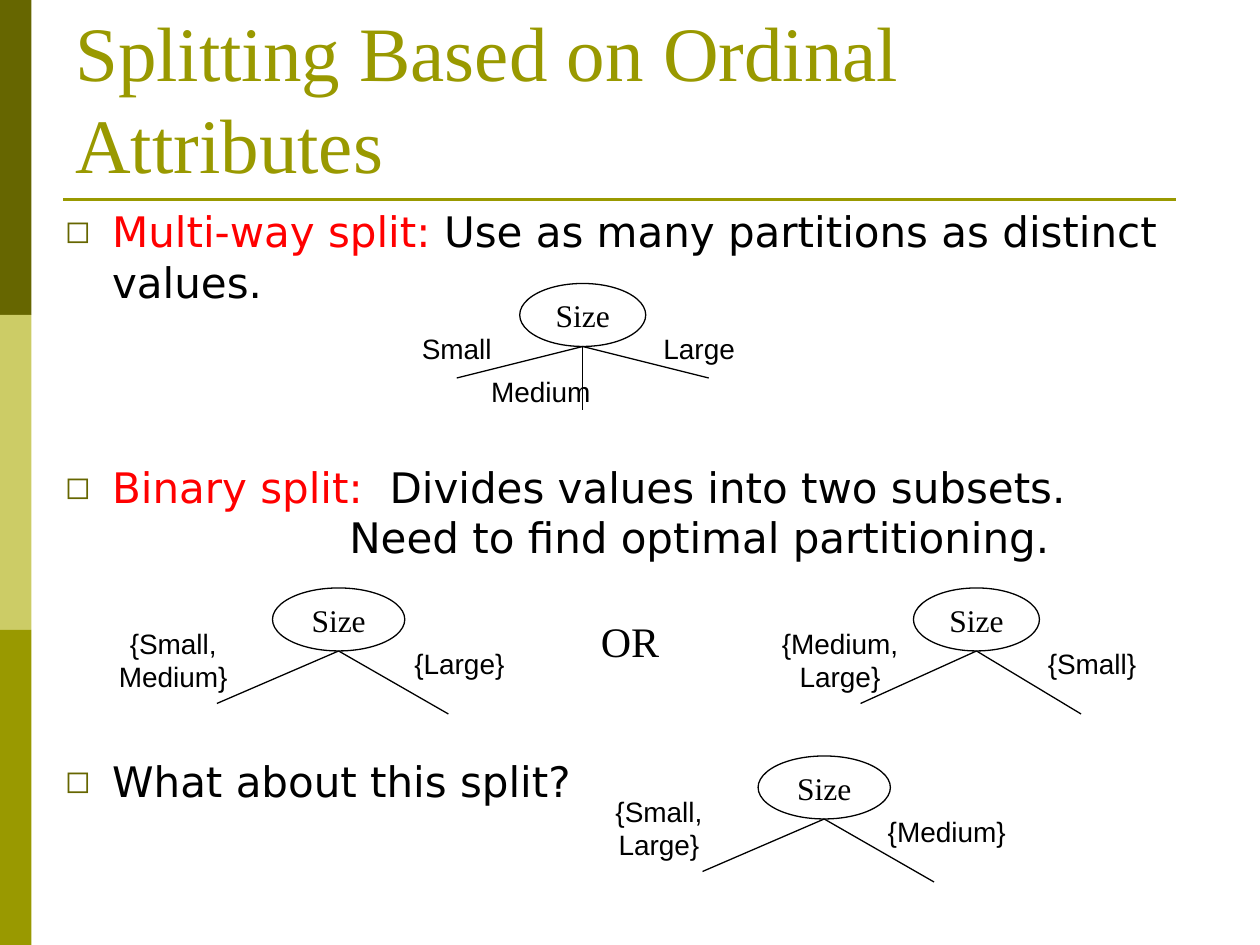
from lxml.etree import SubElement as sub_element
from pptx import Presentation
from pptx.dml.color import RGBColor
from pptx.enum.shapes import MSO_CONNECTOR as Connector, MSO_SHAPE as Shape
from pptx.enum.text import MSO_ANCHOR as Anchor, PP_ALIGN as Align
from pptx.oxml.ns import qn
from pptx.util import Pt

COLORS = {"dark": "666600", "light": "CCCC66", "olive": "999900",
          "red": "FF0000", "black": "000000", "white": "FFFFFF"}
SERIF, SANS, BODY = "Times New Roman", "Arial", "DejaVu Sans"
BINARY_ENDS = [(-0.92, 30), (0.83, 36)]


class SlideBuilder:
    """Draws styled elements on one page, with all lengths in points."""

    def __init__(self, page):
        self.page = page

    def color(self, name):
        return RGBColor.from_string(COLORS[name])

    def style(self, font, face, size, color="black"):
        font.name, font.size = face, Pt(size)
        font.color.rgb = self.color(color)

    def shape(self, kind, left, top, width, height, fill, line=None):
        shape = self.page.shapes.add_shape(kind, Pt(left), Pt(top), Pt(width), Pt(height))
        shape.shadow.inherit = False
        shape.fill.solid()
        shape.fill.fore_color.rgb = self.color(fill)
        if line:
            shape.line.color.rgb = self.color(line)
            shape.line.width = Pt(0.75)
        else:
            shape.line.fill.background()
        return shape

    def line(self, x1, y1, x2, y2, color="black", width=0.75):
        line = self.page.shapes.add_connector(
            Connector.STRAIGHT, Pt(x1), Pt(y1), Pt(x2), Pt(y2))
        line.line.color.rgb = self.color(color)
        line.line.width = Pt(width)
        sub_element(line._element.spPr, qn("a:effectLst"))

    def box(self, left, top, width, height, wrap=True, anchor=Anchor.TOP):
        frame = self.page.shapes.add_textbox(
            Pt(left), Pt(top), Pt(width), Pt(height)).text_frame
        frame.word_wrap, frame.vertical_anchor = wrap, anchor
        return frame

    def title(self, text):
        para = self.box(36, 21.6, 648, 90, anchor=Anchor.BOTTOM).paragraphs[0]
        para.text = text
        self.style(para.font, SERIF, 44, "olive")

    def label(self, text, center_x, center_y, width, size=16, face=SANS):
        wrap = "," in text
        height = 46 if wrap else 26.6
        para = self.box(center_x - width / 2, center_y - height / 2, width, height,
                        wrap, Anchor.MIDDLE).paragraphs[0]
        para.text, para.alignment = text, Align.CENTER
        self.style(para.font, face, size)

    def body(self, items):
        frame = self.box(30, 114, 660, 414)
        for index, (spans, space, indent) in enumerate(items):
            para = frame.add_paragraph() if index else frame.paragraphs[0]
            para.space_before = Pt(space)
            for text, color in spans:
                span = para.add_run()
                span.text = text
                self.style(span.font, BODY, 24, color)
            if indent:
                para._p.get_or_add_pPr().set("marL", str(Pt(indent)))
            else:
                self.bullet(para)

    def bullet(self, para):
        props = para._p.get_or_add_pPr()
        props.set("marL", str(Pt(27)))
        props.set("indent", str(Pt(-27)))
        color = sub_element(props, qn("a:buClr"))
        sub_element(color, qn("a:srgbClr"), val=COLORS["dark"])
        sub_element(props, qn("a:buSzPct"), val="75000")
        sub_element(props, qn("a:buFont"), typeface=BODY)
        sub_element(props, qn("a:buChar"), char="◻")

    def tree(self, center_x, top, width, ends, labels):
        node = self.shape(Shape.OVAL, center_x - width / 2, top, width, 36, "white", "black")
        frame = node.text_frame
        frame.word_wrap, frame.vertical_anchor = False, Anchor.MIDDLE
        para = frame.paragraphs[0]
        para.text, para.alignment = "Size", Align.CENTER
        self.style(para.font, SERIF, 18)
        base = top + 36
        for reach, drop in ends:
            self.line(center_x, base, center_x + reach * width, base + drop)
        for text, shift, drop, label_width in labels:
            self.label(text, center_x + shift, base + drop, label_width)


def main():
    deck = Presentation()
    deck.slide_width, deck.slide_height = Pt(720), Pt(540)
    builder = SlideBuilder(deck.slides.add_slide(deck.slide_layouts[6]))

    for index, color in enumerate(("dark", "light", "olive")):
        builder.shape(Shape.RECTANGLE, 0, index * 180, 18, 180, color)
    builder.line(36, 114, 672, 114, "olive", 1.5)
    builder.body([
        ([("Multi-way split:", "red"),
          (" Use as many partitions as distinct values.", "black")], 6, 0),
        ([("Binary split:", "red"),
          ("  Divides values into two subsets.", "black")], 88.5, 0),
        ([("Need to find optimal partitioning.", "black")], 0, 162.5),
        ([("What about this split?", "black")], 110.5, 0),
    ])
    builder.title("Splitting Based on Ordinal Attributes")

    builder.tree(333, 162, 72, [(-1, 18), (0, 36), (1, 18)],
                 [("Small", -72, 1, 70), ("Medium", -24, 25.5, 90), ("Large", 66.5, 1, 70)])
    builder.tree(558, 336, 72, BINARY_ENDS,
                 [("{Medium, Large}", -78, 5, 90), ("{Small}", 66, 7, 90)])
    builder.tree(193.5, 336, 75.6, BINARY_ENDS,
                 [("{Small, Medium}", -94.5, 5, 82), ("{Large}", 69, 7, 90)])
    builder.label("OR", 360, 366, 60, 24, SERIF)
    builder.tree(471, 432, 75.6, BINARY_ENDS,
                 [("{Small, Large}", -94.5, 5, 82), ("{Medium}", 70, 7, 100)])
    deck.save("out.pptx")


if __name__ == "__main__":
    main()
